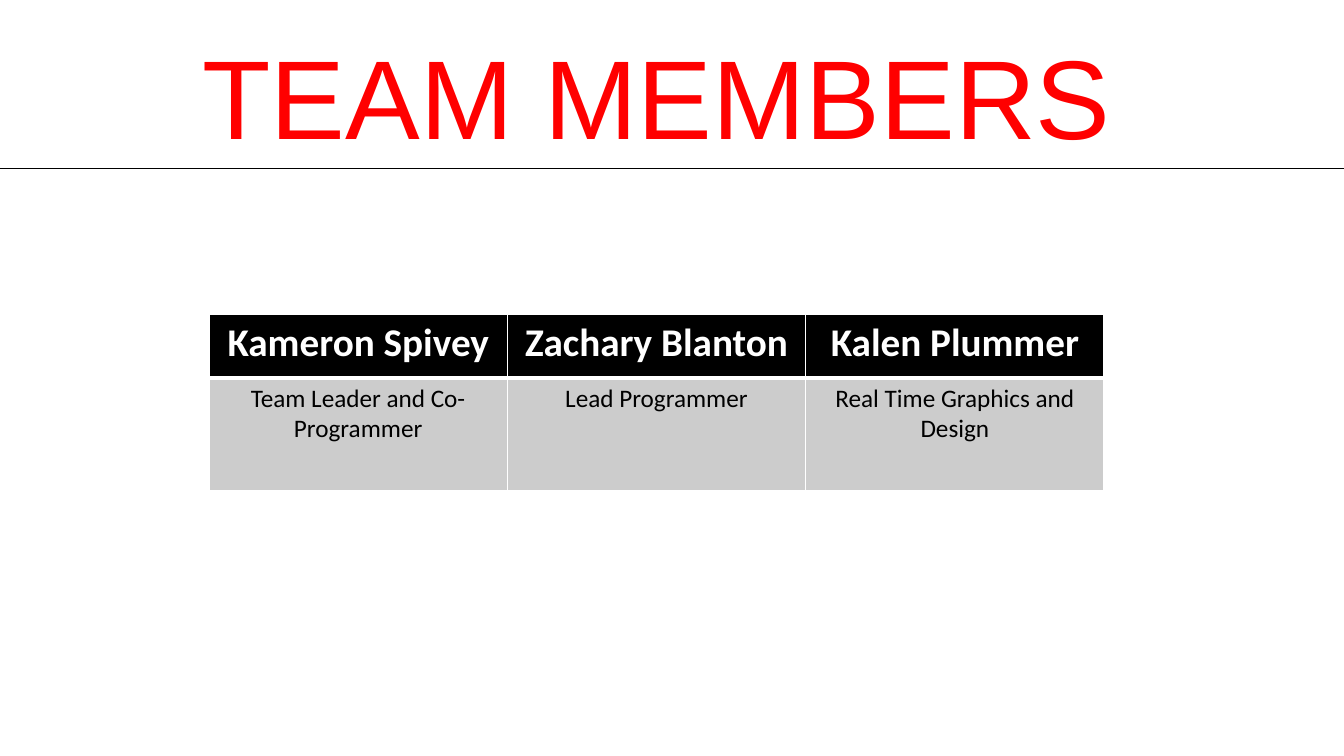
from lxml.etree import SubElement
from pptx import Presentation
from pptx.dml.color import RGBColor
from pptx.enum.shapes import MSO_CONNECTOR
from pptx.enum.text import MSO_AUTO_SIZE, PP_ALIGN
from pptx.oxml.ns import qn
from pptx.util import Inches, Pt

WIDTH, HEIGHT = Inches(13.333), Inches(7.5)
RED = RGBColor(0xFF, 0x00, 0x00)
BLACK = RGBColor(0x00, 0x00, 0x00)
WHITE = RGBColor(0xFF, 0xFF, 0xFF)
GREY = RGBColor(0xCC, 0xCC, 0xCC)

COLUMN_WIDTH = Inches(2.96)
ROW_HEIGHTS = [Inches(0.63), Inches(1.12)]
THIN, THICK = Pt(1), Pt(3)

MEMBERS = [
    ("Kameron Spivey", "Team Leader and Co-Programmer"),
    ("Zachary Blanton", "Lead Programmer"),
    ("Kalen Plummer", "Real Time Graphics and Design"),
]


def write_text(frame, text, size, color, font="Calibri", bold=False):
    frame.word_wrap = True
    paragraph = frame.paragraphs[0]
    paragraph.alignment = PP_ALIGN.CENTER
    run = paragraph.add_run()
    run.text = text
    run.font.name = font
    run.font.size = Pt(size)
    run.font.bold = bold
    run.font.color.rgb = color


def add_title(slide, text):
    box = slide.shapes.add_textbox(
        int(WIDTH * 0.064), int(HEIGHT * 0.03), int(WIDTH * 0.85), int(HEIGHT * 0.193))
    write_text(box.text_frame, text, size=80, color=RED, font="Arial")
    box.text_frame.auto_size = MSO_AUTO_SIZE.SHAPE_TO_FIT_TEXT


def set_borders(cell, top=THIN, bottom=THIN):
    """Draw white borders; call before the cell's fill is set."""
    properties = cell._tc.get_or_add_tcPr()
    for side, width in (("L", THIN), ("R", THIN), ("T", top), ("B", bottom)):
        border = SubElement(properties, qn(f"a:ln{side}"), w=str(width))
        fill = SubElement(border, qn("a:solidFill"))
        SubElement(fill, qn("a:srgbClr"), val=str(WHITE))


def fill_cell(cell, text, fill, borders, **text_format):
    set_borders(cell, **borders)
    cell.fill.solid()
    cell.fill.fore_color.rgb = fill
    write_text(cell.text_frame, text, **text_format)


def add_member_table(slide, members):
    frame = slide.shapes.add_table(
        len(ROW_HEIGHTS), len(members), int(WIDTH * 0.1555), int(HEIGHT * 0.416),
        COLUMN_WIDTH * len(members), sum(ROW_HEIGHTS))
    table = frame.table
    for row, height in zip(table.rows, ROW_HEIGHTS):
        row.height = height
    for index, (name, role) in enumerate(members):
        table.columns[index].width = COLUMN_WIDTH
        fill_cell(table.cell(0, index), name, BLACK, {"bottom": THICK},
                  size=28, color=WHITE, bold=True)
        fill_cell(table.cell(1, index), role, GREY, {"top": THICK},
                  size=18, color=BLACK)


def add_rule(slide):
    """Draw the line under the title, a little past both slide edges."""
    y = int(HEIGHT * 0.223)
    rule = slide.shapes.add_connector(
        MSO_CONNECTOR.STRAIGHT, int(WIDTH * -0.02), y, int(WIDTH * 1.04), y)
    rule.line.color.rgb = BLACK
    rule.line.width = Pt(0.5)
    SubElement(rule._element.spPr, qn("a:effectLst"))


def main():
    presentation = Presentation()
    presentation.slide_width, presentation.slide_height = WIDTH, HEIGHT
    slide = presentation.slides.add_slide(presentation.slide_layouts[6])
    slide.background.fill.solid()
    slide.background.fill.fore_color.rgb = WHITE
    add_title(slide, "TEAM MEMBERS")
    add_member_table(slide, MEMBERS)
    add_rule(slide)
    presentation.save("out.pptx")


if __name__ == "__main__":
    main()
